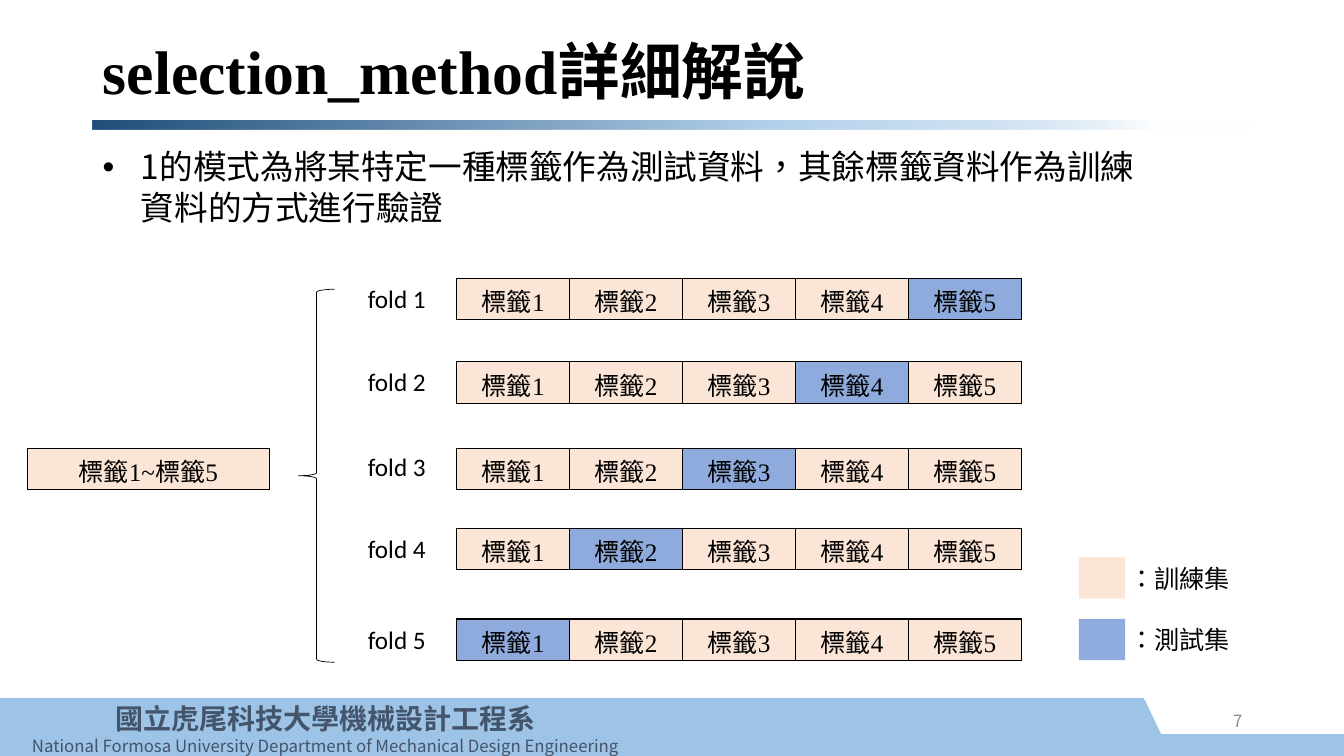
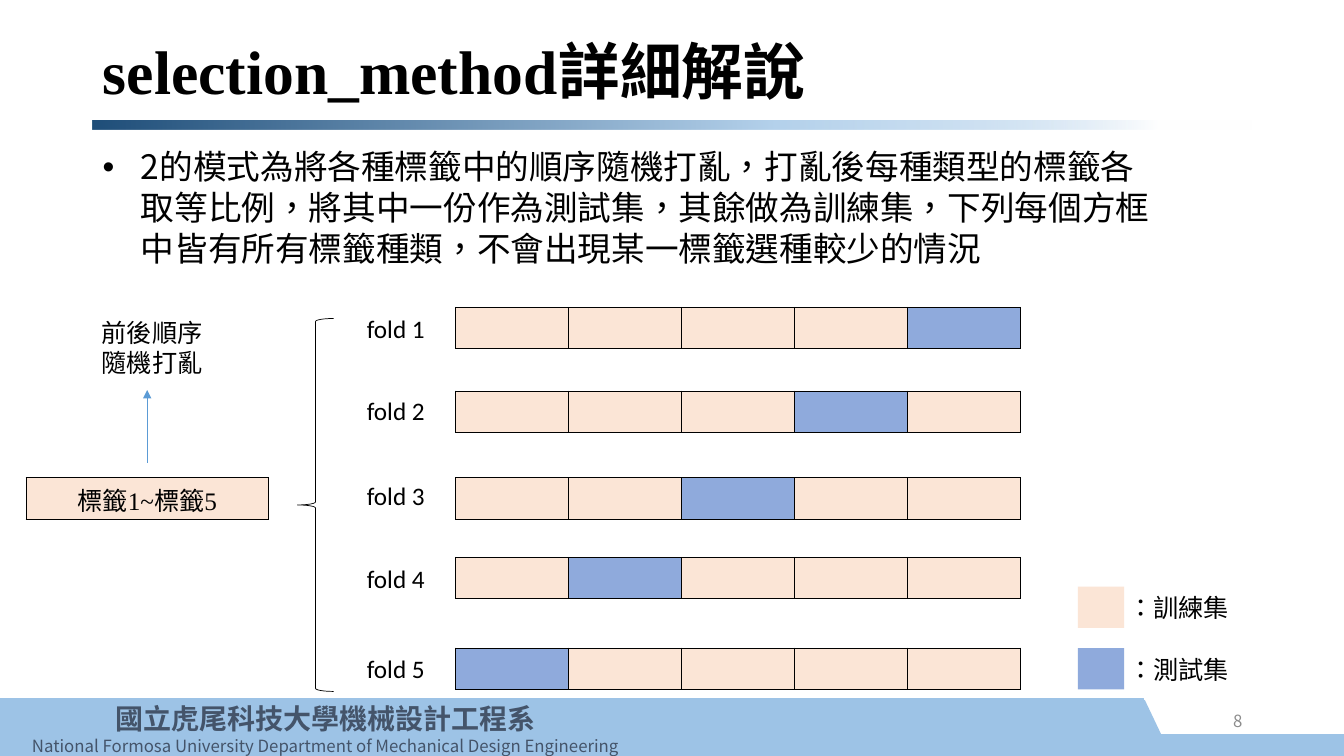
from lxml import etree
from pptx import Presentation
from pptx import util as u
from pptx.dml.color import RGBColor
from pptx.enum import shapes, text
from pptx.oxml.ns import qn

PX = 9144  # 100 px to the inch

CJK, SERIF, SANS = "Noto Sans CJK SC", "Times New Roman", "Calibri"
BLACK, BAND, SLATE, GRAY, ARROW = "000000", "9DC3E6", "44546A", "8C8C8C", "5B9BD5"
TRAIN, TEST = "FBE5D6", "8FAADC"

# Content
TITLE = "selection_method詳細解說"
FOOTER = [("國立虎尾科技大學機械設計工程系", 20, True),
          ("National Formosa University Department of Mechanical Design Engineering", 12, False)]
LEGEND = [("：訓練集", TRAIN, 553), ("：測試集", TEST, 614)]
SOURCE = [("標籤", CJK), ("1~", SERIF), ("標籤", CJK), ("5", SERIF)]
FOLDS = 5
TABLE_TOPS = [276, 359, 445, 524, 614]
LABEL_TOPS = [276, 358, 442, 524, 614]
SLIDES = [
    {"number": "7", "shift": (0, 0), "tagged": True, "note": None,
     "bullet": "1的模式為將某特定一種標籤作為測試資料，其餘標籤資料作為訓練資料的方式進行驗證"},
    {"number": "8", "shift": (-1, 29), "tagged": False, "note": "前後順序隨機打亂",
     "bullet": "2的模式為將各種標籤中的順序隨機打亂，打亂後每種類型的標籤各取等比例，"
               "將其中一份作為測試集，其餘做為訓練集，下列每個方框中皆有所有標籤種類，"
               "不會出現某一標籤選種較少的情況"},
]

# Shared geometry
BANDS = [("RECTANGLE", (0, 693, 1134, 57)), ("RECTANGLE", (1128, 729, 206, 24)),
         ("RIGHT_TRIANGLE", (1135, 695, 20, 42))]
GRADIENT = [(0, "1F4E79", 100), (59, "B5D2EC", 100), (77, "B5D2EC", 65), (92, "FFFFFF", 100)]
ROW_HEIGHT, CELL_WIDTH = 41, 112


def rgb(color):
    return RGBColor.from_string(color)


def box(left, top, width, height):
    return [u.Emu(value * PX) for value in (left, top, width, height)]


def write(paragraph, runs, size=18, color=BLACK, bold=False, align="LEFT", spacing=None):
    """Fill a paragraph with (text, font) runs; a plain string is one CJK run."""
    paragraph.alignment = getattr(text.PP_ALIGN, align)
    paragraph.line_spacing = spacing or u.Pt(round(1.22 * size))
    for words, font_name in [(runs, CJK)] if isinstance(runs, str) else runs:
        run = paragraph.add_run()
        run.text = words
        font = run.font
        font.name, font.size, font.bold = font_name, u.Pt(size), bold
        font.color.rgb = rgb(color)
        properties = run._r.get_or_add_rPr()
        properties.set("lang", "zh-TW")
        etree.SubElement(properties, qn("a:ea"), typeface=CJK)


def add_text(slide, place, runs, anchor="TOP", **style):
    frame = slide.shapes.add_textbox(*box(*place)).text_frame
    frame.word_wrap = True
    frame.vertical_anchor = getattr(text.MSO_ANCHOR, anchor)
    write(frame.paragraphs[0], runs, **style)
    return frame


def add_shape(slide, kind, place, fill=None, line=None, weight=1):
    shape = slide.shapes.add_shape(getattr(shapes.MSO_SHAPE, kind), *box(*place))
    shape.shadow.inherit = False
    if fill:
        shape.fill.solid()
        shape.fill.fore_color.rgb = rgb(fill)
    else:
        shape.fill.background()
    if line:
        shape.line.color.rgb = rgb(line)
        shape.line.width = u.Pt(weight)
    else:
        shape.line.fill.background()
    return shape


def add_row(slide, left, top, cells, cell_width):
    """One-row table from (runs, fill) cells."""
    place = box(left, top, cell_width * len(cells), ROW_HEIGHT)
    table = slide.shapes.add_table(1, len(cells), *place).table
    table.first_row = table.horz_banding = False
    for index, (runs, fill) in enumerate(cells):
        table.columns[index].width = u.Emu(cell_width * PX)
        cell = table.cell(0, index)
        cell.margin_top, cell.margin_bottom = u.Emu(4 * PX), 0
        properties = cell._tc.get_or_add_tcPr()
        for side in ("lnL", "lnR", "lnT", "lnB"):
            border = etree.SubElement(properties, qn("a:" + side), w=str(u.Pt(1)))
            solid = etree.SubElement(border, qn("a:solidFill"))
            etree.SubElement(solid, qn("a:srgbClr"), val=BLACK)
        cell.fill.solid()
        cell.fill.fore_color.rgb = rgb(fill)
        if runs:
            write(cell.text_frame.paragraphs[0], runs, align="CENTER", spacing=u.Pt(26))


def add_arrow(slide, start, end):
    points = [u.Emu(value * PX) for value in start + end]
    arrow = slide.shapes.add_connector(shapes.MSO_CONNECTOR.STRAIGHT, *points)
    arrow.line.color.rgb = rgb(ARROW)
    arrow.line.width = u.Pt(0.5)
    etree.SubElement(arrow.line._get_or_add_ln(), qn("a:tailEnd"), type="triangle")
    etree.SubElement(arrow.element.spPr, qn("a:effectLst"))


def decorate_layout(layout, slide):
    """Build the footer bands and title rule, then move them to the layout."""
    for kind, place in BANDS:
        add_shape(slide, kind, place, BAND, BAND)
    frame = add_text(slide, (6, 691, 634, 64), FOOTER[0][0], size=FOOTER[0][1],
                     bold=FOOTER[0][2], color=SLATE, align="CENTER")
    for words, size, bold in FOOTER[1:]:
        write(frame.add_paragraph(), words, size=size, bold=bold, color=SLATE, align="CENTER")

    rule = add_shape(slide, "RECTANGLE", (92, 120, 1149, 8))
    rule.fill.gradient()
    rule.fill.gradient_angle = 0
    stops = rule.element.spPr.find(".//" + qn("a:gsLst"))
    for stop in list(stops):
        stops.remove(stop)
    for position, color, opacity in GRADIENT:
        stop = etree.SubElement(stops, qn("a:gs"), pos=str(position * 1000))
        value = etree.SubElement(stop, qn("a:srgbClr"), val=color)
        etree.SubElement(value, qn("a:alpha"), val=str(opacity * 1000))

    for shape in list(slide.shapes):
        if not shape.is_placeholder:
            layout.shapes.element.append(shape.element)


def add_heading(slide, content):
    title = slide.shapes.title
    title.left, title.top, title.width, title.height = box(92, 29, 1150, 89)
    frame = title.text_frame
    frame.auto_size = text.MSO_AUTO_SIZE.NONE
    frame.vertical_anchor = text.MSO_ANCHOR.MIDDLE
    write(frame.paragraphs[0], [(TITLE, SERIF)], size=44, bold=True, spacing=0.9)
    add_text(slide, (942, 695, 300, 40), content["number"], anchor="MIDDLE",
             size=12, color=GRAY, align="RIGHT")

    body = add_text(slide, (92, 140, 1060, 91), content["bullet"], size=24)
    properties = body.paragraphs[0]._p.get_or_add_pPr()
    properties.set("marL", str(38 * PX))
    properties.set("indent", str(-38 * PX))
    etree.SubElement(properties, qn("a:buFont"), typeface="Arial")
    etree.SubElement(properties, qn("a:buChar"), char="•")


def add_folds(slide, content):
    dx, dy = content["shift"]
    # Source data and brace
    add_row(slide, 27 + dx, 445 + dy, [(SOURCE, TRAIN)], 240)
    add_shape(slide, "LEFT_BRACE", (296 + dx, 287 + dy, 36, 370), line=BLACK, weight=0.5)

    # The test cell moves one place left in each fold
    for fold, (table_top, label_top) in enumerate(zip(TABLE_TOPS, LABEL_TOPS), 1):
        add_text(slide, (355 + dx, label_top + dy, 124, 40), [(f"fold {fold}", SANS)])
        cells = []
        for tag in range(1, FOLDS + 1):
            runs = [("標籤", CJK), (str(tag), SERIF)] if content["tagged"] else None
            cells.append((runs, TEST if tag == FOLDS + 1 - fold else TRAIN))
        add_row(slide, 453 + dx, table_top + dy, cells, CELL_WIDTH)

    # Legend
    for words, color, top in LEGEND:
        add_shape(slide, "RECTANGLE", (1070 + dx, top + dy, 46, 41), color)
        add_text(slide, (1110 + dx, top + dy, 174, 41), words, anchor="MIDDLE")

    # Shuffle note
    if content["note"]:
        add_arrow(slide, (146, 459), (146, 387))
        add_text(slide, (91, 309, 123, 71), content["note"])


def main():
    presentation = Presentation()
    presentation.slide_width, presentation.slide_height = u.Emu(1333 * PX), u.Emu(750 * PX)
    layout = presentation.slide_layouts[5]
    for index, content in enumerate(SLIDES):
        slide = presentation.slides.add_slide(layout)
        if index == 0:
            decorate_layout(layout, slide)
        add_heading(slide, content)
        add_folds(slide, content)
    presentation.save("out.pptx")


if __name__ == "__main__":
    main()
